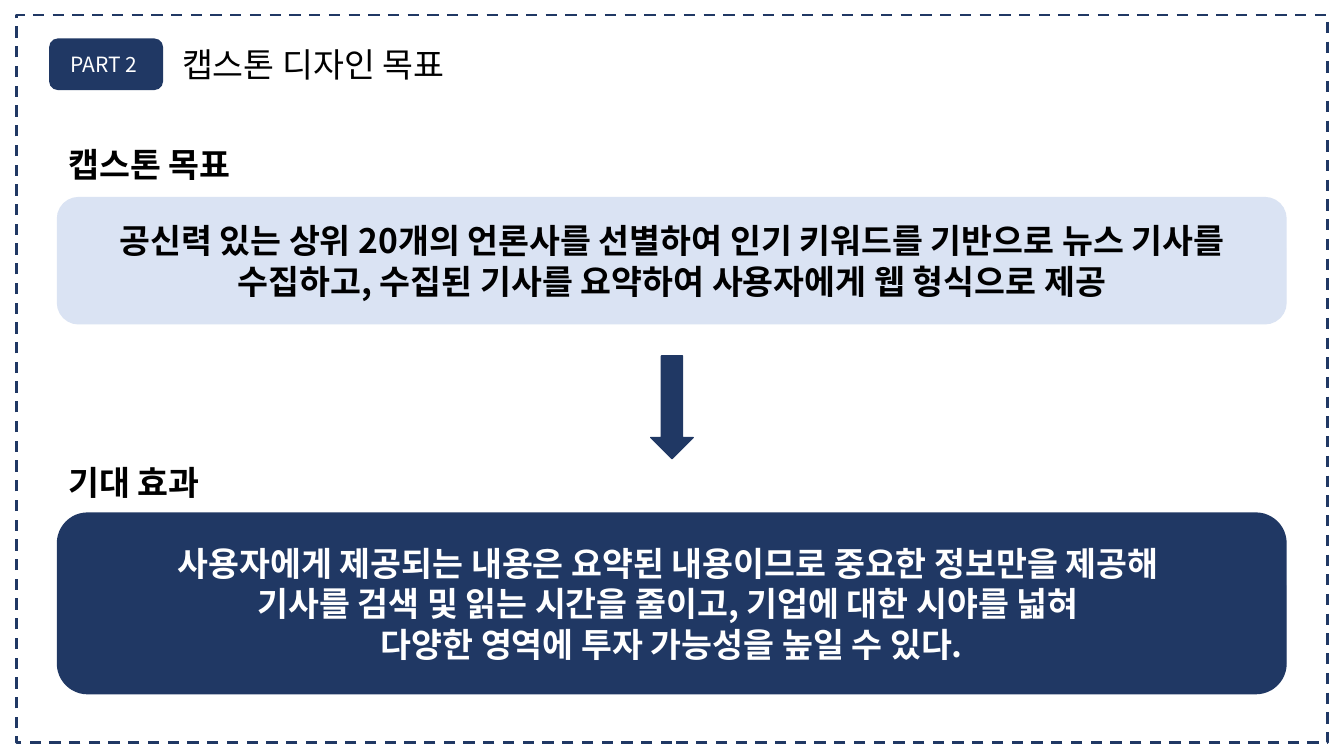
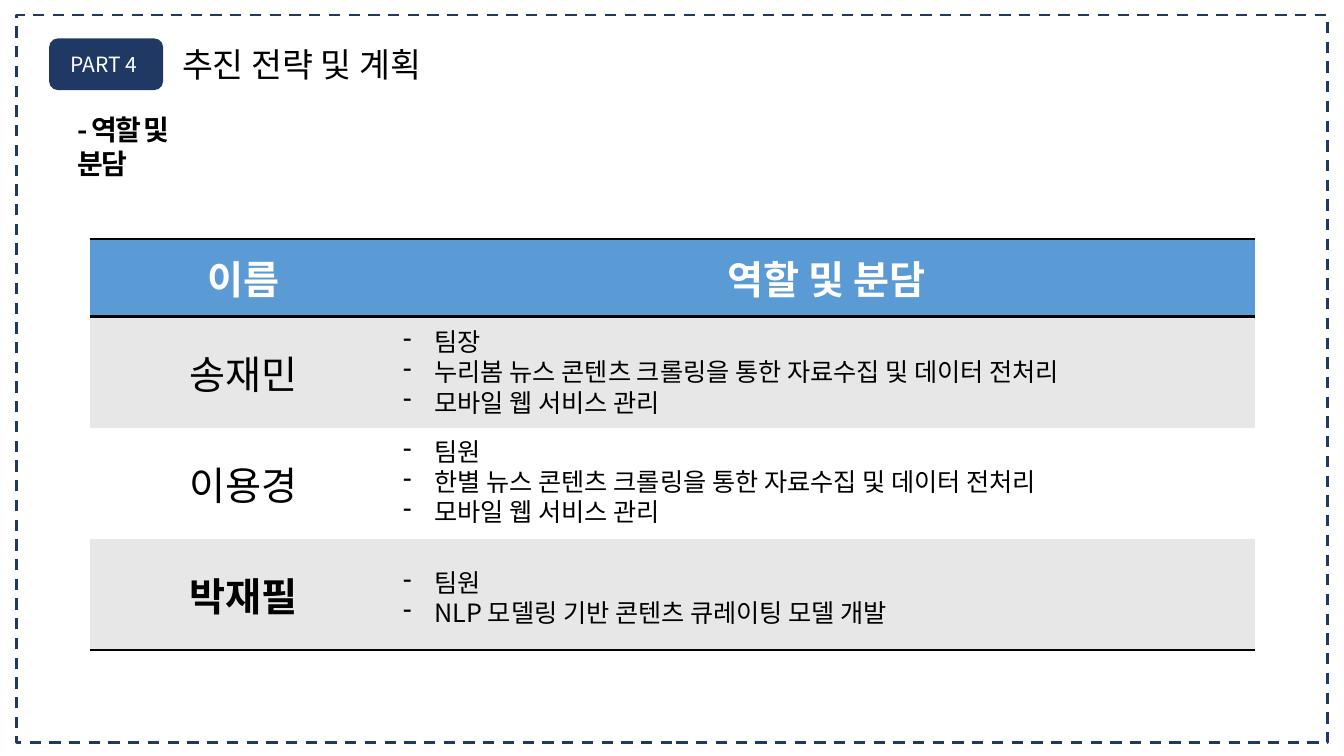
from dataclasses import dataclass

from lxml import etree
from pptx import Presentation
from pptx.dml.color import RGBColor
from pptx.enum.dml import MSO_LINE
from pptx.enum.shapes import MSO_SHAPE
from pptx.enum.text import MSO_ANCHOR, PP_ALIGN
from pptx.oxml.ns import qn
from pptx.presentation import Presentation as Deck
from pptx.shapes.autoshape import Shape
from pptx.slide import Slide
from pptx.table import _Cell as Cell
from pptx.text.text import TextFrame, _Paragraph as Paragraph
from pptx.util import Cm, Pt

NAVY = RGBColor(0x20, 0x38, 0x64)
PALE_BLUE = RGBColor(0xDA, 0xE3, 0xF3)
HEADER_BLUE = RGBColor(0x5B, 0x9B, 0xD5)
BAND_GRAY = RGBColor(0xE7, 0xE7, 0xE7)
WHITE = RGBColor(0xFF, 0xFF, 0xFF)
BLACK = RGBColor(0, 0, 0)
FONT = "Noto Sans CJK KR"
BULLET_INDENT = Cm(0.79)


@dataclass(frozen=True)
class Area:
    left: float
    top: float
    width: float
    height: float

    def lengths(self) -> tuple[Cm, Cm, Cm, Cm]:
        return Cm(self.left), Cm(self.top), Cm(self.width), Cm(self.height)


@dataclass(frozen=True)
class TextStyle:
    size: float
    color: RGBColor = BLACK
    bold: bool = False
    align: PP_ALIGN = PP_ALIGN.LEFT
    spacing: int = 0


@dataclass(frozen=True)
class Panel:
    heading: str
    heading_top: float
    area: Area
    fill: RGBColor
    color: RGBColor
    text: str


@dataclass(frozen=True)
class Member:
    name: str
    bold: bool
    roles_top: float
    roles: tuple[str, ...]


TITLE = TextStyle(24)
HEADING = TextStyle(24, bold=True)
BADGE = TextStyle(15, WHITE, align=PP_ALIGN.CENTER)
SUBTITLE = TextStyle(20, bold=True, spacing=-150)
ROLE = TextStyle(18)
TABLE_HEADER = TextStyle(28, WHITE, True, PP_ALIGN.CENTER)

PANELS = (
    Panel("캡스톤 목표", 3.51, Area(1.45, 4.98, 30.96, 3.18), PALE_BLUE, BLACK,
          "공신력 있는 상위 20개의 언론사를 선별하여 인기 키워드를 기반으로 뉴스 기사를\n"
          "수집하고, 수집된 기사를 요약하여 사용자에게 웹 형식으로 제공"),
    Panel("기대 효과", 11.51, Area(1.45, 12.93, 30.96, 4.55), NAVY, WHITE,
          "사용자에게 제공되는 내용은 요약된 내용이므로 중요한 정보만을 제공해 \n"
          "기사를 검색 및 읽는 시간을 줄이고, 기업에 대한 시야를 넓혀 \n"
          "다양한 영역에 투자 가능성을 높일 수 있다."),
)
MEMBERS = (
    Member("송재민", False, 8.1, (
        "팀장",
        "누리봄 뉴스 콘텐츠 크롤링을 통한 자료수집 및 데이터 전처리",
        "모바일 웹 서비스 관리")),
    Member("이용경", False, 10.87, (
        "팀원",
        "한별 뉴스 콘텐츠 크롤링을 통한 자료수집 및 데이터 전처리",
        "모바일 웹 서비스 관리")),
    Member("박재필", True, 14.17, (
        "팀원",
        "NLP 모델링 기반 콘텐츠 큐레이팅 모델 개발")),
)


def add_bullet(paragraph: Paragraph) -> None:
    properties = paragraph._p.get_or_add_pPr()
    properties.set("marL", str(BULLET_INDENT))
    properties.set("indent", str(-BULLET_INDENT))
    etree.SubElement(properties, qn("a:buChar"), char="-")


def write(frame: TextFrame, text: str, style: TextStyle, bulleted: bool = False) -> None:
    frame.text = text
    for paragraph in frame.paragraphs:
        paragraph.alignment = style.align
        if bulleted:
            add_bullet(paragraph)
        for span in paragraph.runs:
            span.font.size = Pt(style.size)
            span.font.name = FONT
            span.font.bold = style.bold
            span.font.color.rgb = style.color
            properties = span._r.get_or_add_rPr()
            etree.SubElement(properties, qn("a:ea"), typeface=FONT)
            if style.spacing:
                properties.set("spc", str(style.spacing))


def add_label(page: Slide, area: Area, text: str, style: TextStyle,
              wrap: bool = True, bulleted: bool = False) -> None:
    box = page.shapes.add_textbox(*area.lengths())
    box.text_frame.word_wrap = wrap
    write(box.text_frame, text, style, bulleted)


def add_block(page: Slide, kind: MSO_SHAPE, area: Area,
              fill: RGBColor | None = None, line: RGBColor | None = None) -> Shape:
    block = page.shapes.add_shape(kind, *area.lengths())
    block.shadow.inherit = False
    if fill is None:
        block.fill.background()
    else:
        block.fill.solid()
        block.fill.fore_color.rgb = fill
    if line is None:
        block.line.fill.background()
    else:
        block.line.color.rgb = line
        block.line.width = Pt(1)
    block.text_frame.vertical_anchor = MSO_ANCHOR.MIDDLE
    return block


def add_page(deck: Deck, part: str, title: str) -> Slide:
    page = deck.slides.add_slide(deck.slide_layouts[6])
    border = add_block(page, MSO_SHAPE.RECTANGLE, Area(0.41, 0.38, 33.05, 18.34), line=NAVY)
    border.line.width = Pt(2)
    border.line.dash_style = MSO_LINE.DASH
    badge = add_block(page, MSO_SHAPE.ROUNDED_RECTANGLE, Area(1.24, 0.97, 2.87, 1.3), NAVY)
    write(badge.text_frame, part, BADGE)
    add_label(page, Area(4.34, 0.97, 7.4, 1.28), title, TITLE, wrap=False)
    return page


def set_border(cell: Cell, side: str, visible: bool) -> None:
    line = etree.Element(qn(f"a:{side}"), w=str(Pt(2) if visible else 0))
    if visible:
        fill = etree.SubElement(line, qn("a:solidFill"))
        etree.SubElement(fill, qn("a:srgbClr"), val=str(BLACK))
    else:
        etree.SubElement(line, qn("a:noFill"))
    cell._tc.get_or_add_tcPr().append(line)


def format_cell(cell: Cell, row: int, last_row: int, fill: RGBColor) -> None:
    ruled_edges = (0, 1, last_row + 1)
    set_border(cell, "lnL", False)
    set_border(cell, "lnR", False)
    set_border(cell, "lnT", row in ruled_edges)
    set_border(cell, "lnB", row + 1 in ruled_edges)
    cell.fill.solid()
    cell.fill.fore_color.rgb = fill
    cell.vertical_anchor = MSO_ANCHOR.MIDDLE


def add_goal_page(deck: Deck) -> None:
    page = add_page(deck, "PART 2 ", "캡스톤 디자인 목표")
    add_block(page, MSO_SHAPE.DOWN_ARROW, Area(16.4, 8.97, 1.07, 2.59), NAVY, NAVY)
    for panel in PANELS:
        block = add_block(page, MSO_SHAPE.ROUNDED_RECTANGLE, panel.area, panel.fill, panel.fill)
        write(block.text_frame, panel.text,
              TextStyle(24, panel.color, True, PP_ALIGN.CENTER))
        add_label(page, Area(1.47, panel.heading_top, 10.29, 1.28), panel.heading, HEADING)


def add_role_page(deck: Deck) -> None:
    page = add_page(deck, "PART 4 ", "추진 전략 및 계획")
    add_label(page, Area(1.7, 2.72, 3.6, 1.12), "- 역할 및 분담", SUBTITLE)
    last_row = len(MEMBERS)
    table = page.shapes.add_table(last_row + 1, 2, *Area(2.26, 6.02, 29.37, 10.36).lengths()).table
    table.first_row = False
    table.horz_banding = False
    for column, width in zip(table.columns, (7.75, 21.62)):
        column.width = Cm(width)
    for index, row in enumerate(table.rows):
        row.height = Cm(2.8 if index else 1.96)
        fill = (BAND_GRAY if index % 2 else WHITE) if index else HEADER_BLUE
        for cell in row.cells:
            format_cell(cell, index, last_row, fill)
    for column, text in enumerate(("이름", "역할 및 분담")):
        write(table.cell(0, column).text_frame, text, TABLE_HEADER)
    for index, member in enumerate(MEMBERS, start=1):
        write(table.cell(index, 0).text_frame, member.name,
              TextStyle(28, BLACK, member.bold, PP_ALIGN.CENTER))
        add_label(page, Area(9.91, member.roles_top, 22.4, 0.85 * len(member.roles)),
                  "\n".join(member.roles), ROLE, bulleted=True)


def main() -> None:
    deck = Presentation()
    deck.slide_width = Cm(33.87)
    deck.slide_height = Cm(19.05)
    add_goal_page(deck)
    add_role_page(deck)
    deck.save("out.pptx")


if __name__ == "__main__":
    main()
